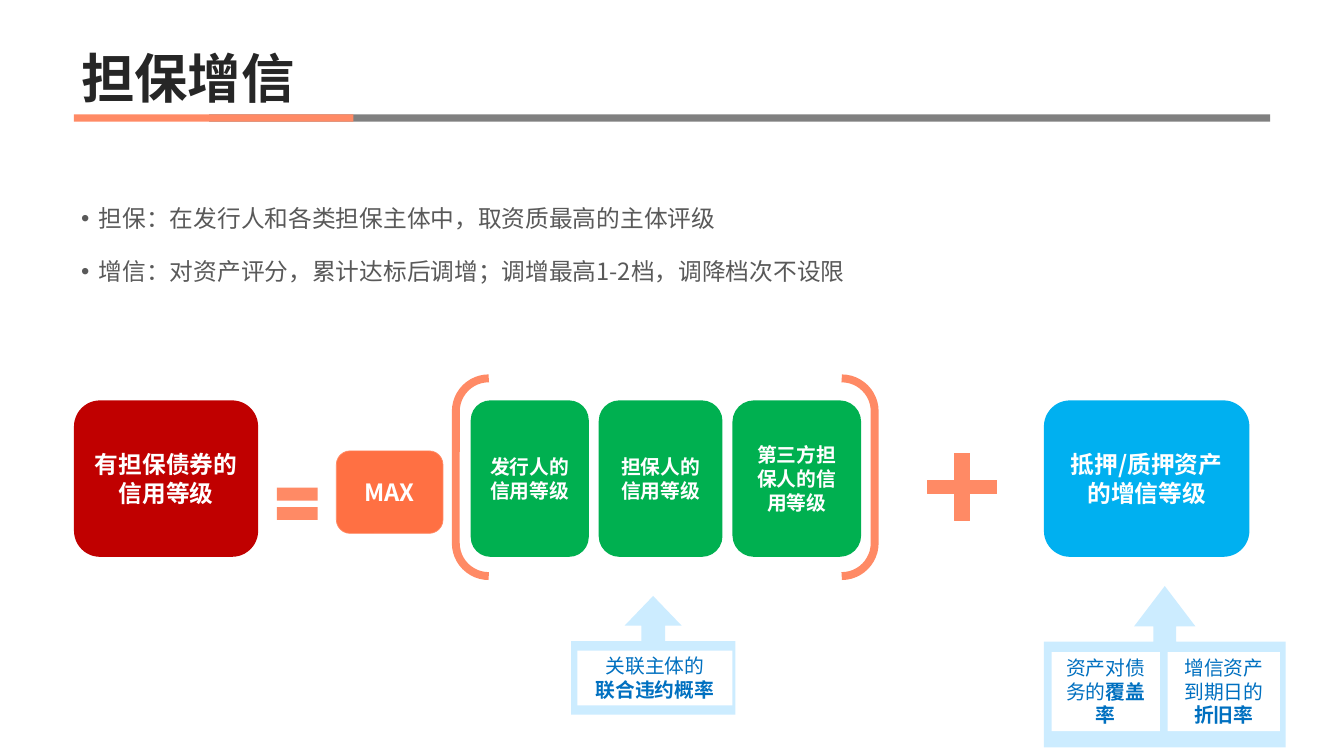
from lxml import etree
from pptx import Presentation
from pptx.dml.color import RGBColor
from pptx.enum.shapes import MSO_SHAPE as Shape
from pptx.enum.text import MSO_ANCHOR as Anchor, MSO_AUTO_SIZE as AutoSize, PP_ALIGN as Align
from pptx.oxml.ns import qn
from pptx.util import Inches, Pt

SANS = "Noto Sans CJK SC"
CORAL = "FF8A65"
GREEN = "00B050"
PALE_BLUE = "CCECFF"

presentation = Presentation()
presentation.slide_width = Inches(18.9)
presentation.slide_height = Inches(10.63)
slide = presentation.slides.add_slide(presentation.slide_layouts[1])


def style_text(paragraph, size, color, bold=False, name=SANS):
    font = paragraph.font
    font.size = Pt(size)
    font.bold = bold
    font.name = name
    font.color.rgb = RGBColor.from_string(color)
    properties = paragraph._p.get_or_add_pPr().find(qn("a:defRPr"))
    etree.SubElement(properties, qn("a:ea")).set("typeface", SANS)


def add_block(kind, box, fill=None, line=None, line_width=1, adjustments=()):
    shape = slide.shapes.add_shape(kind, *[Inches(length) for length in box])
    shape.shadow.inherit = False
    if fill:
        shape.fill.solid()
        shape.fill.fore_color.rgb = RGBColor.from_string(fill)
    else:
        shape.fill.background()
    if line:
        shape.line.color.rgb = RGBColor.from_string(line)
        shape.line.width = Pt(line_width)
    else:
        shape.line.fill.background()
    for index, value in enumerate(adjustments):
        shape.adjustments[index] = value
    return shape


title = slide.shapes.title
body = slide.placeholders[1]
for placeholder, top, height, anchor in [(title, 0, 1.59, Anchor.BOTTOM), (body, 2.62, 2.08, Anchor.TOP)]:
    placeholder.left, placeholder.top = Inches(1.04), Inches(top)
    placeholder.width, placeholder.height = Inches(16.91), Inches(height)
    placeholder.text_frame.auto_size = AutoSize.NONE
    placeholder.text_frame.vertical_anchor = anchor

title.text_frame.text = "担保增信"
heading = title.text_frame.paragraphs[0]
heading.alignment = Align.LEFT
heading.line_spacing = 0.9
style_text(heading, 54, "262626", True)

body.text_frame.text = (
    "担保：在发行人和各类担保主体中，取资质最高的主体评级\n"
    "增信：对资产评分，累计达标后调增；调增最高1-2档，调降档次不设限"
)
for paragraph in body.text_frame.paragraphs:
    paragraph.line_spacing = 1.5
    paragraph.space_before = Pt(10)
    properties = paragraph._p.get_or_add_pPr()
    properties.set("marL", str(Inches(0.25)))
    properties.set("indent", str(Inches(-0.25)))
    etree.SubElement(properties, qn("a:buChar")).set("char", "•")
    style_text(paragraph, 24, "595959")

add_block(Shape.RECTANGLE, (2.94, 1.61, 14.92, 0.1), "808080")
add_block(Shape.RECTANGLE, (1.04, 1.61, 3.93, 0.1), CORAL)

rating_top, rating_height = 5.63, 2.2
terms = [
    ("有担保债券的信用等级", 1.04, rating_top, 2.59, rating_height, "C00000", None, 24),
    ("MAX", 4.73, 6.34, 1.5, 1.16, "FF7043", CORAL, 24),
    ("发行人的信用等级", 6.62, rating_top, 1.66, rating_height, GREEN, None, 20),
    ("担保人的信用等级", 8.42, rating_top, 1.74, rating_height, GREEN, None, 20),
    ("第三方担保人的信用等级", 10.3, rating_top, 1.81, rating_height, GREEN, None, 20),
    ("抵押/质押资产\n的增信等级", 14.68, rating_top, 2.89, rating_height, "00B0F0", None, 24),
]
for text, left, top, width, height, fill, line, size in terms:
    term = add_block(Shape.ROUNDED_RECTANGLE, (left, top, width, height), fill, line, 0.75)
    frame = term.text_frame
    frame.text = text
    frame.word_wrap = True
    frame.vertical_anchor = Anchor.MIDDLE
    frame.margin_left = frame.margin_right = Inches(0.14)
    frame.margin_top = frame.margin_bottom = Inches(0.07)
    for paragraph in frame.paragraphs:
        paragraph.alignment = Align.CENTER
        style_text(paragraph, size, "FFFFFF", True)

add_block(Shape.MATH_EQUAL, (3.79, 6.7, 0.78, 0.77), CORAL)
add_block(Shape.DOUBLE_BRACKET, (6.41, 5.32, 5.89, 2.78), None, CORAL, 8)
add_block(Shape.CROSS, (13.04, 6.37, 0.98, 0.95), CORAL, CORAL, 1, [0.4])

add_block(Shape.UP_ARROW_CALLOUT, (8.03, 8.38, 2.31, 1.67), PALE_BLUE, adjustments=[0.2, 0.24, 0.25, 0.62])
add_block(Shape.UP_ARROW_CALLOUT, (14.68, 8.24, 3.4, 2.27), PALE_BLUE, adjustments=[0.14, 0.19, 0.25, 0.655])

factors = [
    ((8.12, 9.15, 2.18, 0.77), [[("关联主体的", False)], [("联合违约概率", True)]]),
    ((14.79, 9.17, 1.52, 1.11), [[("资产对债务的", False), ("覆盖率", True)]]),
    ((16.42, 9.17, 1.58, 1.11), [[("增信资产到期日的", False), ("折旧率", True)]]),
]
for box, lines in factors:
    frame = add_block(Shape.RECTANGLE, box, "FFFFFF").text_frame
    frame.word_wrap = True
    frame.auto_size = AutoSize.SHAPE_TO_FIT_TEXT
    frame.vertical_anchor = Anchor.TOP
    for index, parts in enumerate(lines):
        paragraph = frame.add_paragraph() if index else frame.paragraphs[0]
        paragraph.alignment = Align.CENTER
        style_text(paragraph, 20, "0070C0", name="Arial")
        for text, bold in parts:
            run = paragraph.add_run()
            run.text = text
            run.font.bold = bold

presentation.save("out.pptx")
